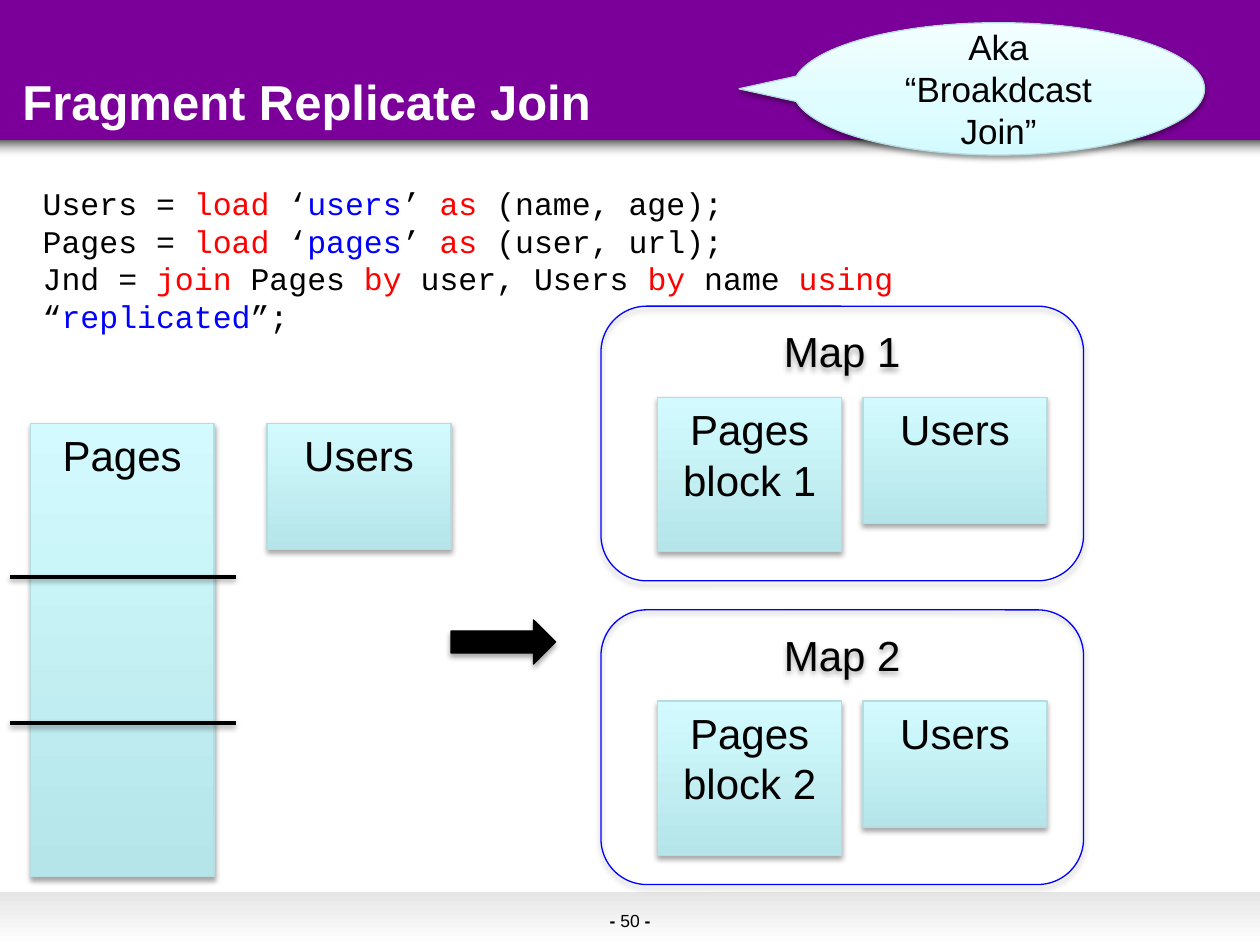
from lxml.etree import SubElement
from pptx import Presentation
from pptx.dml.color import RGBColor
from pptx.enum.shapes import MSO_CONNECTOR as LINK, MSO_SHAPE as SHAPE
from pptx.enum.text import MSO_ANCHOR as ANCHOR, PP_ALIGN as ALIGN
from pptx.oxml.ns import qn
from pptx.util import Inches, Pt

# Lengths are percent of the slide's width, on both axes
WIDTH, HEIGHT = Inches(10), Inches(7.5)
BLACK, WHITE, PURPLE, RED, BLUE = "000000", "FFFFFF", "7B0099", "FF0000", "0000FF"
EDGE = "B6DCDF"
BOX_FILL = [(0, "B5E5E9"), (100, "D3FBFF")]
CALLOUT_FILL = [(0, "D3FBFF"), (35, "DFFCFF"), (100, "F2FEFF")]
UP, DOWN = 90, 270
BOX_W, BOX_H = 14.6, 10

CODE = ["Users = |load| ‘|users|’ |as| (name, age);",
        "Pages = |load| ‘|pages|’ |as| (user, url);",
        "Jnd = |join| Pages |by| user, Users |by| name |using| “|replicated|”;"]
CODE_COLOURS = {**dict.fromkeys(["load", "as", "join", "by", "using"], RED),
                **dict.fromkeys(["users", "pages", "replicated"], BLUE)}


def pct(*values):
    return [int(WIDTH * v / 100) for v in values]


def rgb(colour):
    return RGBColor.from_string(colour)


def set_all(obj, **values):
    for name, value in values.items():
        setattr(obj, name, value)


def add_colour(parent, colour, alpha=100):
    clr = SubElement(parent, qn("a:srgbClr"), val=colour)
    if alpha < 100:
        SubElement(clr, qn("a:alpha"), val=str(alpha * 1000))


def paint(sp, fill, angle=UP):
    """Fill with None, one colour, or a list of gradient stops."""
    if fill is None:
        sp.fill.background()
    elif isinstance(fill, str):
        sp.fill.solid()
        sp.fill.fore_color.rgb = rgb(fill)
    else:
        sp.fill.gradient()
        sp.fill.gradient_angle = angle
        stops = sp._element.spPr.find(".//" + qn("a:gsLst"))
        for old in list(stops):
            stops.remove(old)
        for place, *colour in fill:
            add_colour(SubElement(stops, qn("a:gs"), pos=str(place * 1000)), *colour)


def drop_shadow(sp, alpha=35, dist=1.8):
    spPr = sp._element.spPr
    effects = spPr.find(qn("a:effectLst"))
    if effects is None:
        effects = SubElement(spPr, qn("a:effectLst"))
    shadow = SubElement(effects, qn("a:outerShdw"), blurRad=str(Pt(3.1)),
                        dist=str(Pt(dist)), dir="5400000", rotWithShape="0")
    add_colour(shadow, BLACK, alpha)


def add_run(p, text, size, colour=BLACK, font="Arial", bold=False):
    r = p.add_run()
    r.text = text
    set_all(r.font, size=Pt(size), name=font, bold=bold)
    r.font.color.rgb = rgb(colour)


def write(sp, lines, size, anchor=ANCHOR.TOP, align=ALIGN.CENTER, **style):
    tf = sp.text_frame
    set_all(tf, word_wrap=True, vertical_anchor=anchor)
    for i, line in enumerate(lines):
        p = tf.add_paragraph() if i else tf.paragraphs[0]
        p.alignment = align
        add_run(p, line, size, **style)


def add_shape(s, kind, at, fill, line=None, angle=UP):
    sp = s.shapes.add_shape(kind, *pct(*at))
    sp.shadow.inherit = False
    paint(sp, fill, angle)
    if line:
        sp.line.color.rgb = rgb(line)
        sp.line.width = Pt(0.75)
    else:
        sp.line.fill.background()
    return sp


def add_box(s, x, y, h, *lines):
    sp = add_shape(s, SHAPE.RECTANGLE, (x, y, BOX_W, h), BOX_FILL, EDGE)
    drop_shadow(sp)
    write(sp, lines, 24)


def add_map(s, number, top):
    frame = add_shape(s, SHAPE.ROUNDED_RECTANGLE, (47.7, top, 38.3, 21.8), None, BLUE)
    drop_shadow(frame)
    write(frame, [f"Map {number}"], 24)
    add_box(s, 68.5, top + 7.25, BOX_H, "Users")
    add_box(s, 52.2, top + 7.25, 12.25, "Pages", f"block {number}")


def add_cut(s, y):
    line = s.shapes.add_connector(LINK.STRAIGHT, *pct(0.8, y, 18.7, y))
    line.line.color.rgb = rgb(BLACK)
    line.line.width = Pt(2)
    drop_shadow(line, 38, 1.6)


def add_code(s):
    tf = s.shapes.add_textbox(*pct(2.4, 14.1, 90.1, 10)).text_frame
    tf.word_wrap = True
    p = tf.paragraphs[0]
    for i, line in enumerate(CODE):
        if i:
            p.add_line_break()
        for part in line.split("|"):
            add_run(p, part, 18, CODE_COLOURS.get(part, BLACK), "Courier New")


def add_frame(s):
    # Header, its fading edge, and the footer band
    fade = [(0, BLACK), (100, WHITE, 0)]
    add_shape(s, SHAPE.RECTANGLE, (0, 10.8, 100, 1.7), fade, angle=DOWN)
    add_shape(s, SHAPE.RECTANGLE, (0, 0, 100, 11.1), PURPLE)
    footer = [(0, "E6E6E6"), (100, WHITE)]
    add_shape(s, SHAPE.RECTANGLE, (0, 70.8, 100, 4.2), footer, angle=DOWN)
    # Page number
    tf = s.shapes.add_textbox(*pct(47.4, 71.9, 9.2, 2.5)).text_frame
    set_all(tf, word_wrap=True, vertical_anchor=ANCHOR.BOTTOM)
    for text, bold in [("- ", True), ("50 ", False), ("-", True)]:
        add_run(tf.paragraphs[0], text, 10, bold=bold)
    # Title
    title = add_shape(s, SHAPE.RECTANGLE, (0.8, 0.9, 97.5, 9.9), PURPLE)
    write(title, ["Fragment Replicate Join"], 28, ANCHOR.BOTTOM, ALIGN.LEFT,
          colour=WHITE, bold=True)


def add_callout(s):
    sp = add_shape(s, SHAPE.OVAL_CALLOUT, (62.9, 1.8, 32.7, 10.5), CALLOUT_FILL, EDGE)
    sp.adjustments[0], sp.adjustments[1] = -0.63, 0
    drop_shadow(sp, 38, 1.6)
    write(sp, ["Aka", "“Broakdcast Join”"], 20, ANCHOR.MIDDLE)


def main():
    prs = Presentation()
    set_all(prs, slide_width=WIDTH, slide_height=HEIGHT)
    s = prs.slides.add_slide(prs.slide_layouts[6])
    add_frame(s)
    add_code(s)

    # Inputs: the large table is cut in three, the small one stays whole
    add_box(s, 2.4, 33.6, 36, "Pages")
    add_box(s, 21.2, 33.6, BOX_H, "Users")
    for y in (45.8, 57.4):
        add_cut(s, y)

    # Map tasks
    arrow = add_shape(s, SHAPE.RIGHT_ARROW, (35.8, 49.2, 8.3, 3.5), BLACK, BLACK)
    drop_shadow(arrow)
    for number in (1, 2):
        add_map(s, number, 24.3 + 24.1 * (number - 1))

    add_callout(s)
    prs.save("out.pptx")


if __name__ == "__main__":
    main()
